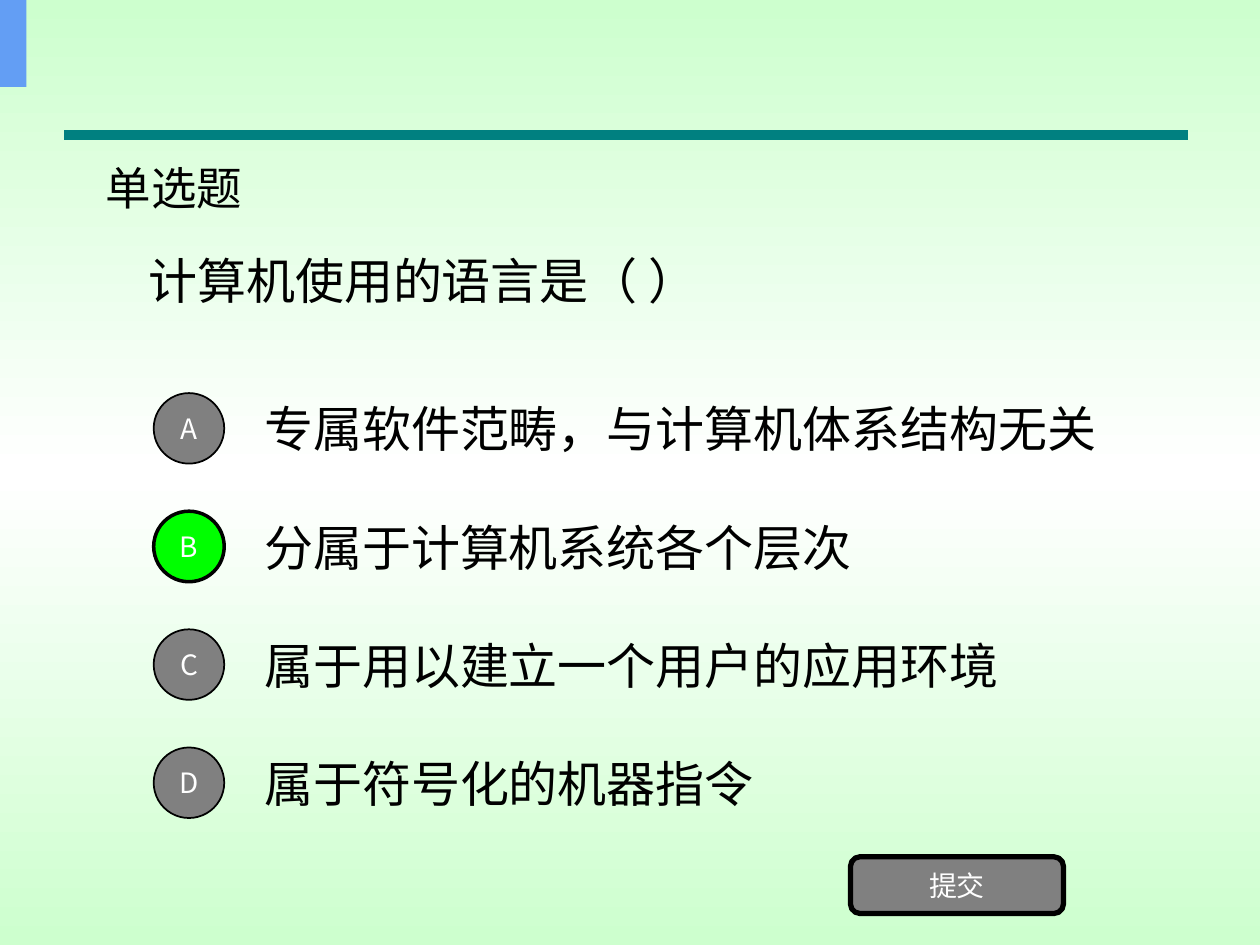
import copy

import pptx
import pptx.dml.color
import pptx.enum.shapes
import pptx.enum.text
import pptx.oxml
import pptx.oxml.ns
import pptx.util

Inches = pptx.util.Inches
Pt = pptx.util.Pt
SHAPE = pptx.enum.shapes.MSO_SHAPE
ALIGN = pptx.enum.text.PP_ALIGN

COLORS = {name: pptx.dml.color.RGBColor.from_string(value) for name, value in {
    "mint": "CDFFCE", "white": "FFFFFF", "black": "000000", "teal": "008080",
    "gray": "808080", "green": "00FF00", "blue": "639EF4"}.items()}
BODY = {"name": "Times New Roman", "size": Pt(28)}
HEADING = {"name": "Noto Sans CJK SC", "size": Pt(26)}
LABEL = {"name": "Noto Sans CJK SC", "size": Pt(16)}


def write(sp, text, font, color="black", align=ALIGN.LEFT, wrap=True):
    tf = sp.text_frame
    frame = {"word_wrap": wrap, "vertical_anchor": pptx.enum.text.MSO_ANCHOR.MIDDLE}
    for key, value in frame.items():
        setattr(tf, key, value)
    p = tf.paragraphs[0]
    p.alignment = align
    r = p.add_run()
    r.text = text
    for key, value in font.items():
        setattr(r.font, key, value)
    r.font.color.rgb = COLORS[color]


def add_shape(kind, box, fill, line_width=0):
    sp = s.shapes.add_shape(kind, *map(Inches, box))
    sp.shadow.inherit = False
    sp.fill.solid()
    sp.fill.fore_color.rgb = COLORS[fill]
    if line_width:
        sp.line.color.rgb = COLORS["black"]
        sp.line.width = Pt(line_width)
    else:
        sp.line.fill.background()
    return sp


prs = pptx.Presentation()
prs.slide_width, prs.slide_height = Inches(10), Inches(7.5)
s = prs.slides.add_slide(prs.slide_layouts[6])

# Background: mint to white and back, top to bottom
bg = s.background.fill
bg.gradient()
bg.gradient_angle = 90
for stop in bg.gradient_stops:
    stop.color.rgb = COLORS["mint"]
first = next(s.element.iter(pptx.oxml.ns.qn("a:gs")))
first.addnext(copy.deepcopy(first))
middle = bg.gradient_stops[1]
middle.position = 0.5
middle.color.rgb = COLORS["white"]

# Header rule
rule = s.shapes.add_connector(pptx.enum.shapes.MSO_CONNECTOR.STRAIGHT,
                              Inches(0.51), Inches(1.07), Inches(9.43), Inches(1.07))
rule.line.color.rgb = COLORS["teal"]
rule.line.width = Pt(6)
rule.element.spPr.append(pptx.oxml.parse_xml(
    "<a:effectLst %s/>" % pptx.oxml.ns.nsdecls("a")))

# Question
question = s.shapes.add_textbox(Inches(1.08), Inches(1.05), Inches(8), Inches(2.34))
write(question, "计算机使用的语言是（ ）", BODY)

# Answer options, the correct one in green
answers = ["专属软件范畴，与计算机体系结构无关", "分属于计算机系统各个层次",
           "属于用以建立一个用户的应用环境", "属于符号化的机器指令"]
correct = "B"
for i, (letter, answer) in enumerate(zip("ABCD", answers)):
    top = 3.05 + i * 0.9375
    sp = s.shapes.add_textbox(Inches(2), Inches(top), Inches(7), Inches(0.7))
    write(sp, answer, BODY)
    fill, width = ("green", 2) if letter == correct else ("gray", 1)
    sp = add_shape(SHAPE.OVAL, (1.22, top + 0.07, 0.56, 0.56), fill, width)
    write(sp, letter, LABEL, "white", ALIGN.CENTER, wrap=False)

# Submit button
button = add_shape(SHAPE.ROUNDED_RECTANGLE, (6.75, 6.8, 1.69, 0.45), "gray", 3)
write(button, "提交", LABEL, "white", ALIGN.CENTER, wrap=False)

# Corner tab and question type
add_shape(SHAPE.RECTANGLE, (0, 0, 0.21, 0.69), "blue")
heading = s.shapes.add_textbox(Inches(0.74), Inches(1.14), Inches(2.08), Inches(0.69))
write(heading, "单选题", HEADING)

prs.save("out.pptx")
